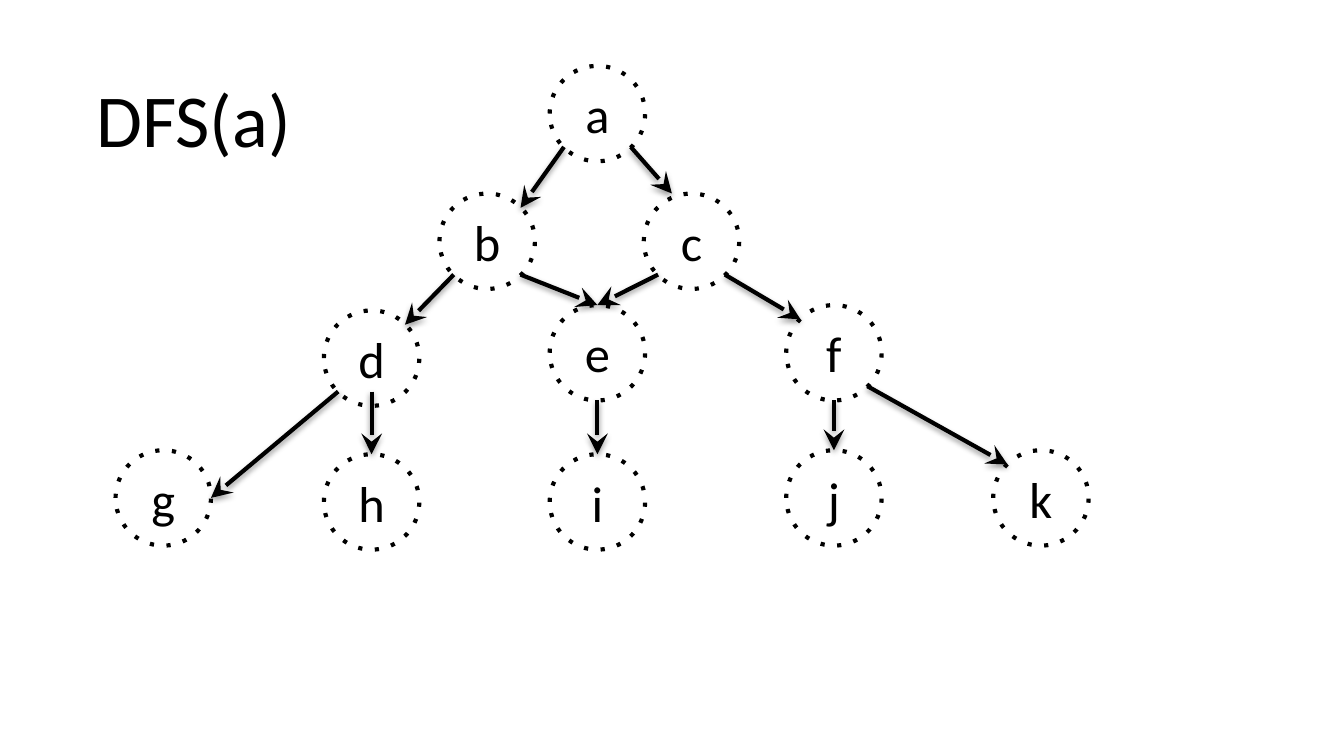
from lxml.etree import SubElement
from pptx import Presentation
from pptx.dml.color import RGBColor
from pptx.enum.shapes import MSO_CONNECTOR, MSO_SHAPE
from pptx.enum.text import MSO_ANCHOR, PP_ALIGN
from pptx.oxml.ns import qn
from pptx.util import Inches, Pt

# Content: node -> (column, row), edge -> (from, port, to, port)
TITLE = "DFS(a)"
NODES = {
    "e": (3, 2), "b": (2, 1), "a": (3, 0), "c": (4, 1), "f": (5, 2), "d": (1, 3),
    "g": (0, 4), "h": (1, 5), "i": (3, 5), "j": (5, 4), "k": (6, 4),
}
EDGES = [
    ("a", "southwest", "b", "northeast"),
    ("b", "southwest", "d", "northeast"),
    ("d", "southwest", "g", "east"),
    ("d", "inner south", "h", "north"),
    ("b", "southeast", "e", "north"),
    ("e", "south", "i", "north"),
    ("a", "southeast", "c", "upper left"),
    ("c", "southwest", "e", "north"),
    ("c", "southeast", "f", "northwest"),
    ("f", "south", "j", "north"),
    ("f", "southeast", "k", "northwest"),
]

# Slide is 16:9; grid in inches; d and h sit slightly below their neighbours
SLIDE_WIDTH = Inches(10)
SLIDE_HEIGHT = SLIDE_WIDTH * 9 // 16
COLUMNS = [0.86, 2.41, 3.27, 4.09, 4.79, 5.85, 7.39]
ROWS = [0.49, 1.44, 2.27, 2.31, 3.35, 3.38]
DIAMETER = 0.71
TITLE_BOX = (0.62, 0.49, 2.03, 0.77)

# Ports as shares of the radius, measured from the node's centre
DIAGONAL = 0.7
PORTS = {
    "north": (0, -1), "south": (0, 1), "east": (1, 0),
    "northwest": (-DIAGONAL, -DIAGONAL), "northeast": (DIAGONAL, -DIAGONAL),
    "southwest": (-DIAGONAL, DIAGONAL), "southeast": (DIAGONAL, DIAGONAL),
    "inner south": (0, DIAGONAL), "upper left": (-0.41, -1),
}

THEME = {
    "ink": RGBColor(0, 0, 0),
    "font": "Calibri",
    "title": Pt(40),
    "label": Pt(27),
    "stroke": Pt(2.25),
    "dash": {"val": "dot"},
    "arrow": {"type": "stealth", "w": "lg", "len": "lg"},
    "shadow": {"blurRad": str(Pt(3.1)), "dist": str(Pt(1.6)),
               "dir": str(90 * 60000), "rotWithShape": "0"},
    "shadow_alpha": {"val": "38000"},
}
NODE_FRAME = {
    "margin_left": Inches(0.07), "margin_right": Inches(0.07),
    "margin_top": Inches(0.04), "margin_bottom": Inches(0.04),
    "vertical_anchor": MSO_ANCHOR.MIDDLE, "word_wrap": True,
}
TITLE_FRAME = {"vertical_anchor": MSO_ANCHOR.TOP, "word_wrap": True}


def apply(target, values):
    for name, value in values.items():
        setattr(target, name, value)


def write(shape, text, size, alignment, frame_format):
    apply(shape.text_frame, frame_format)
    paragraph = shape.text_frame.paragraphs[0]
    paragraph.alignment = alignment
    run = paragraph.add_run()
    run.text = text
    apply(run.font, {"name": THEME["font"], "size": size})
    run.font.color.rgb = THEME["ink"]


def stroke(shape, detail, values):
    """Draw the outline and add one line detail: a dash or an arrowhead."""
    shape.line.color.rgb = THEME["ink"]
    shape.line.width = THEME["stroke"]
    outline = shape._element.spPr.find(qn("a:ln"))
    SubElement(outline, qn(detail), values)


def add_node(slide, label, column, row):
    shape = slide.shapes.add_shape(
        MSO_SHAPE.OVAL, Inches(COLUMNS[column]), Inches(ROWS[row]),
        Inches(DIAMETER), Inches(DIAMETER))
    shape.shadow.inherit = False
    shape.fill.background()
    stroke(shape, "a:prstDash", THEME["dash"])
    write(shape, label, THEME["label"], PP_ALIGN.CENTER, NODE_FRAME)


def port_position(node, port):
    column, row = NODES[node]
    across, down = PORTS[port]
    radius = DIAMETER / 2
    return (Inches(COLUMNS[column] + radius * (1 + across)),
            Inches(ROWS[row] + radius * (1 + down)))


def add_edge(slide, start, start_port, end, end_port):
    connector = slide.shapes.add_connector(
        MSO_CONNECTOR.STRAIGHT, *port_position(start, start_port),
        *port_position(end, end_port))
    stroke(connector, "a:tailEnd", THEME["arrow"])
    # Soft shadow straight below the arrow
    effects = SubElement(connector._element.spPr, qn("a:effectLst"))
    shadow = SubElement(effects, qn("a:outerShdw"), THEME["shadow"])
    color = SubElement(shadow, qn("a:srgbClr"), val=str(THEME["ink"]))
    SubElement(color, qn("a:alpha"), THEME["shadow_alpha"])


def main():
    presentation = Presentation()
    apply(presentation, {"slide_width": SLIDE_WIDTH, "slide_height": SLIDE_HEIGHT})
    slide = presentation.slides.add_slide(presentation.slide_layouts[6])

    # Graph
    for label, (column, row) in NODES.items():
        add_node(slide, label, column, row)
    for edge in EDGES:
        add_edge(slide, *edge)

    # Title
    title = slide.shapes.add_textbox(*map(Inches, TITLE_BOX))
    write(title, TITLE, THEME["title"], PP_ALIGN.LEFT, TITLE_FRAME)

    presentation.save("out.pptx")


if __name__ == "__main__":
    main()
